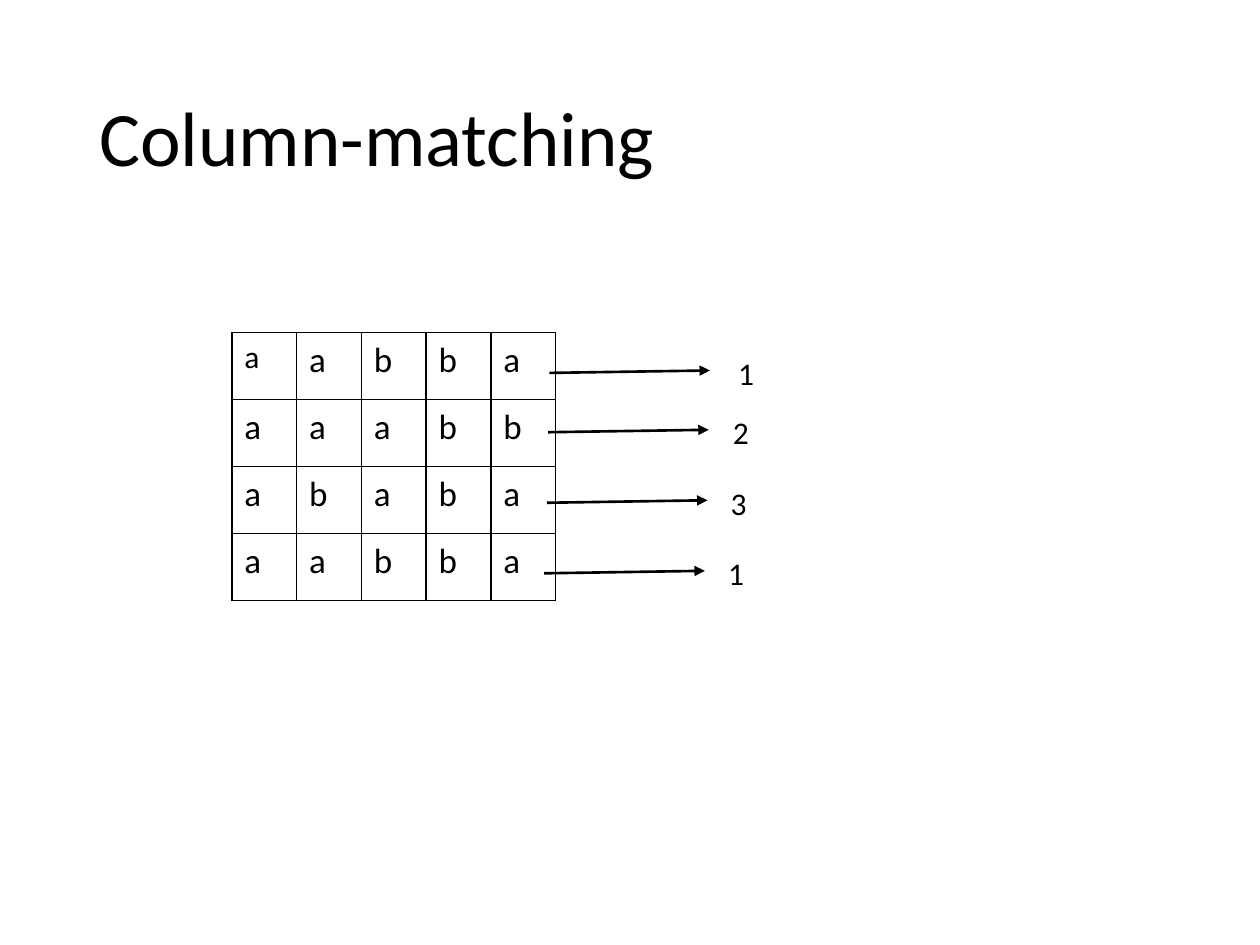
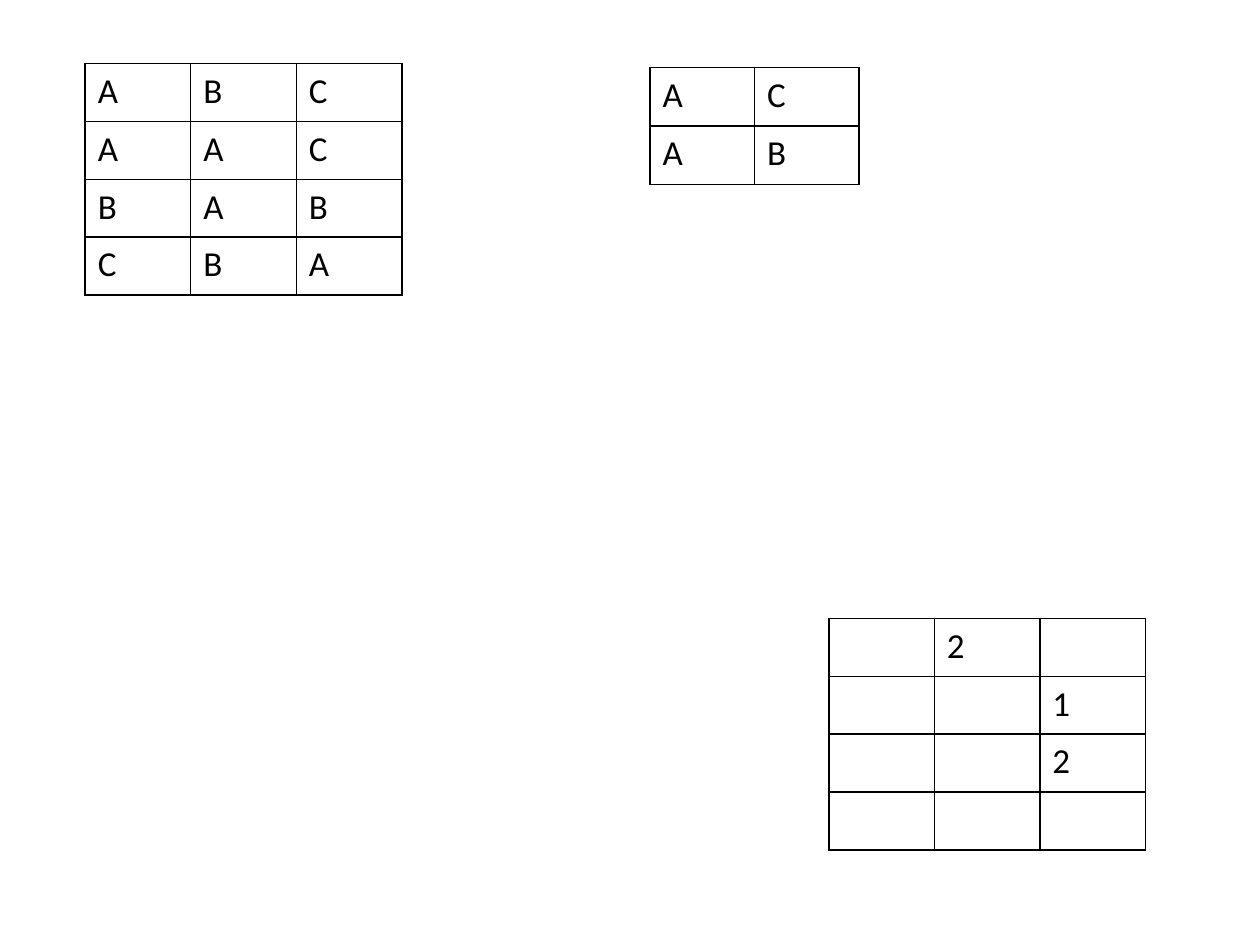
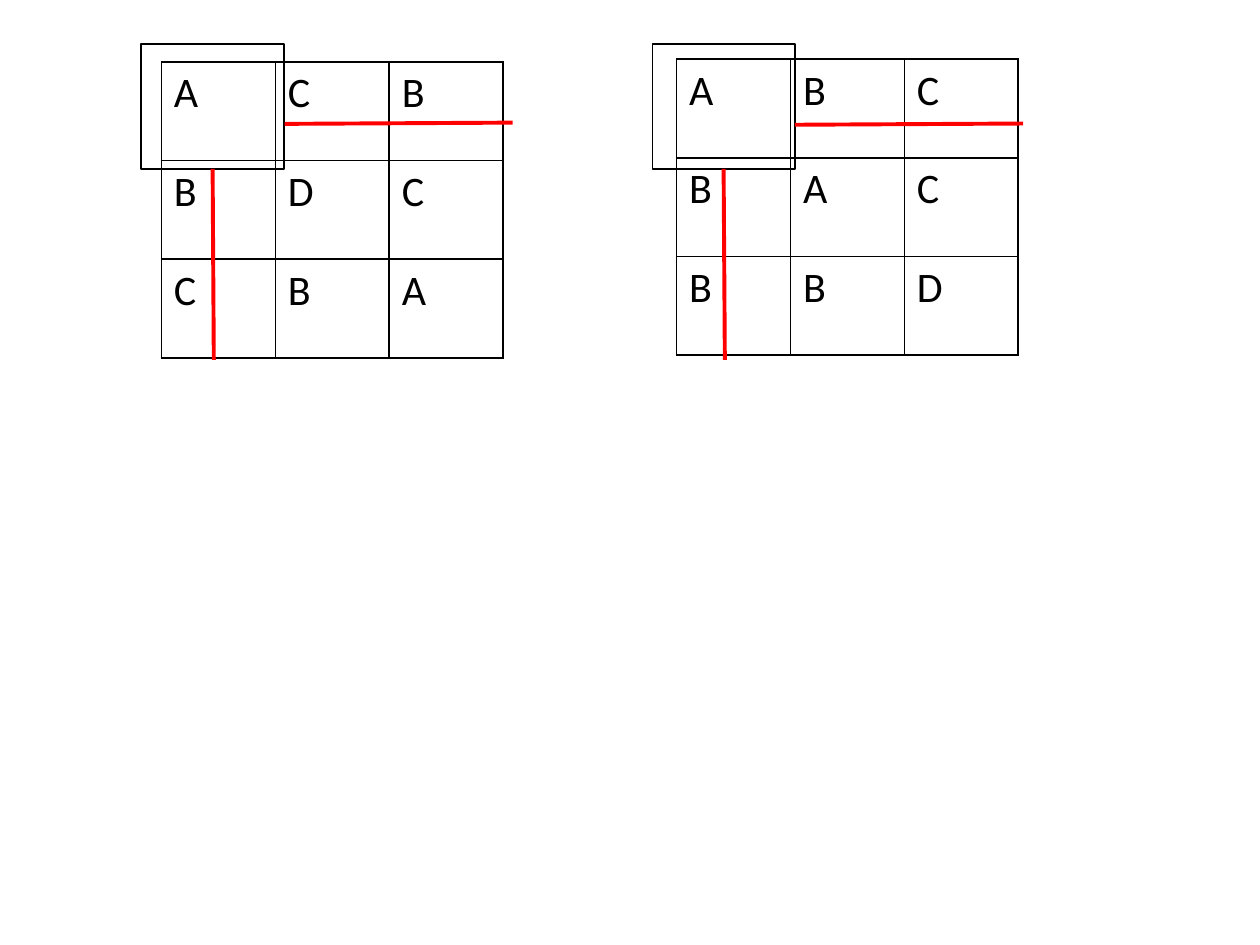
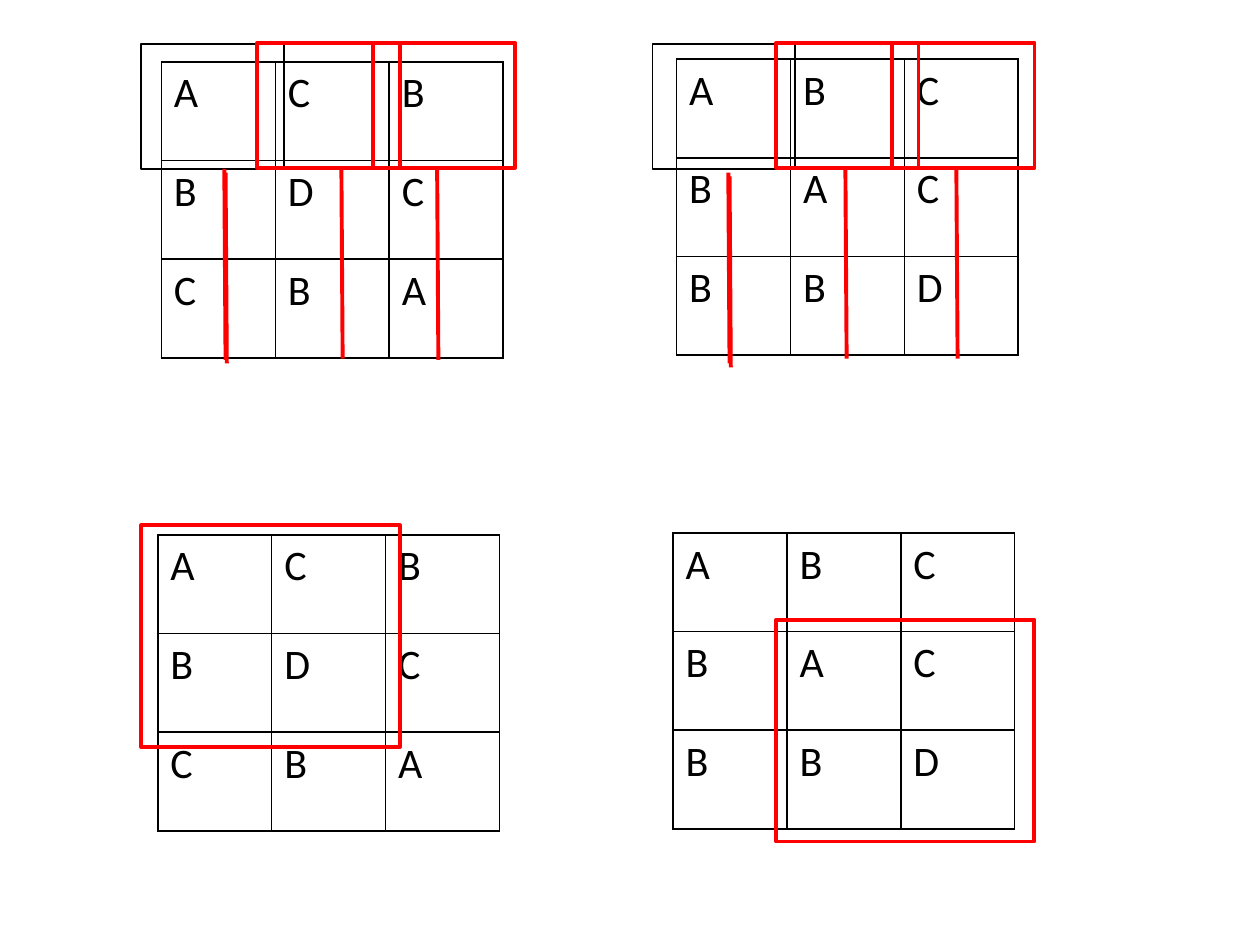
"""Build four slides on matching letter grids by columns, corners and blocks."""
from lxml import etree
from pptx import Presentation
from pptx.dml.color import RGBColor
from pptx.enum import shapes, text
from pptx.oxml import ns
from pptx.util import Pt

BLACK = RGBColor(0x00, 0x00, 0x00)
RED = RGBColor(0xFF, 0x00, 0x00)
FONT = "Calibri"
THIN, ARROW, THICK = 1, 1.5, 2.25
TITLE_ONLY, BLANK = 5, 6
BOTTOM = 2

TITLE_BOX = (49.5, 28.8, 621, 104.4)
CORNER = (81.4, 71.3)
BLOCK = (147.6, 126.7)
DOWN = (0.7, 109.1)
ACROSS = (130.3, -0.7)
ARROW_RUN = (91.8, -1.4)
LABEL_BOX = (23.8, 28.8)

ROW_NAMES = {"rows": ["aabba", "aaabb", "ababa", "aabba"],
             "cell": (37, 38.3), "size": 20, "first_size": 18}
TEXT_GRID = {"rows": ["ABC", "AAC", "BAB", "CBA"], "cell": (60.3, 33.1), "size": 20}
PATTERN = {"rows": ["AC", "AB"], "cell": (59.7, 33.4), "size": 20}
MATCHES = {"rows": [["", "2", ""], ["", "", "1"], ["", "", "2"], ["", "", ""]],
           "cell": (60.3, 33.1), "size": 20}
LEFT_GRID = {"rows": ["ACB", "BDC", "CBA"], "cell": (65.1, 56.4), "size": 24}
RIGHT_GRID = {"rows": ["ABC", "BAC", "BBD"], "cell": (65.1, 56.4), "size": 24}

ROW_LABELS = [("1", (313.9, 213.1), 414.7), ("2", (313.2, 247), 411.8),
              ("3", (312.5, 287.3), 410.4), ("1", (311, 327.6), 409)]
CORNER_PAIR = [
    ("grid", (92.2, 35.3), LEFT_GRID),
    ("grid", (386.6, 33.8), RIGHT_GRID),
    ("frame", (80.8, 25.2), CORNER, BLACK, THIN),
    ("frame", (372.8, 25.2), CORNER, BLACK, THIN),
]
TOP_FRAMES = [147, 509.8, 213.1, 443.5]
COLUMN_STROKES = [(128.2, 96.5), (195.1, 95.8), (416.2, 98.6), (546.5, 95.8),
                  (128.9, 98.6), (249.8, 96.5), (416.9, 100.8), (483.1, 95.8)]

SLIDES = [
    ("Column-matching",
     [("grid", (132.5, 190), ROW_NAMES)] + [("label", *label) for label in ROW_LABELS]),
    (None, [("grid", (48.7, 36.3), TEXT_GRID),
            ("grid", (371.5, 38.7), PATTERN),
            ("grid", (473.6, 353.4), MATCHES)]),
    (None, CORNER_PAIR + [("drop", 0), ("drop", 1),
                          ("stroke", (454.3, 71.3), ACROSS),
                          ("stroke", (162.7, 70.8), ACROSS)]),
    (None, CORNER_PAIR
     + [("frame", (left, 24.5), CORNER, RED, THICK) for left in TOP_FRAMES]
     + [("grid", (90.2, 305.6), LEFT_GRID),
        ("grid", (384.6, 304.5), RIGHT_GRID),
        ("frame", (443.5, 354.2), BLOCK, RED, THICK),
        ("frame", (80.8, 300.2), BLOCK, RED, THICK)]
     + [("stroke", start, DOWN) for start in COLUMN_STROKES]),
]


def points(*values):
    return [Pt(value) for value in values]


def write(frame, words, size):
    paragraph = frame.paragraphs[0]
    paragraph.text = words
    for name, value in {"name": FONT, "size": Pt(size)}.items():
        setattr(paragraph.font, name, value)
    paragraph.font.color.rgb = BLACK
    return paragraph


def border(cell):
    properties = cell._tc.get_or_add_tcPr()
    for index, side in enumerate(("lnL", "lnR", "lnT", "lnB")):
        line = etree.Element(ns.qn(f"a:{side}"), w=str(Pt(THIN)))
        fill = etree.SubElement(line, ns.qn("a:solidFill"))
        etree.SubElement(fill, ns.qn("a:srgbClr"), val=str(BLACK))
        properties.insert(index, line)


def draw_grid(slide, origin, grid):
    rows, (width, height) = grid["rows"], grid["cell"]
    count = len(rows[0])
    table = slide.shapes.add_table(
        len(rows), count, *points(*origin, width * count, height * len(rows))).table
    table.first_row = table.horz_banding = False
    for column in table.columns:
        column.width = Pt(width)
    for row_index, letters in enumerate(rows):
        table.rows[row_index].height = Pt(height)
        for column_index, letter in enumerate(letters):
            cell = table.cell(row_index, column_index)
            is_first = row_index == column_index == 0
            size = grid.get("first_size", grid["size"]) if is_first else grid["size"]
            write(cell.text_frame, letter, size)
            cell.fill.background()
            border(cell)


def draw_frame(slide, origin, size, color, weight):
    shape = slide.shapes.add_shape(shapes.MSO_SHAPE.RECTANGLE, *points(*origin, *size))
    shape.shadow.inherit = False
    shape.fill.background()
    shape.line.color.rgb = color
    shape.line.width = Pt(weight)
    return shape


def draw_stroke(slide, start, run, color=RED, weight=THICK):
    end = [begin + step for begin, step in zip(start, run)]
    connector = slide.shapes.add_connector(
        shapes.MSO_CONNECTOR.STRAIGHT, *points(*start, *end))
    connector.line.color.rgb = color
    connector.line.width = Pt(weight)
    etree.SubElement(connector._element.spPr, ns.qn("a:effectLst"))
    return connector


def draw_drop(slide, frame):
    start = ((frame.left + frame.width / 2) / Pt(1), (frame.top + frame.height) / Pt(1))
    draw_stroke(slide, start, DOWN).begin_connect(frame, BOTTOM)


def draw_label(slide, words, start, left):
    arrow = draw_stroke(slide, start, ARROW_RUN, BLACK, ARROW)
    etree.SubElement(arrow.line._get_or_add_ln(), ns.qn("a:tailEnd"), type="triangle")
    box = slide.shapes.add_textbox(*points(left, start[1] - LABEL_BOX[1] / 2, *LABEL_BOX))
    box.text_frame.word_wrap = False
    box.text_frame.auto_size = text.MSO_AUTO_SIZE.SHAPE_TO_FIT_TEXT
    write(box.text_frame, words, 18)


def draw_title(slide, words):
    title = slide.shapes.title
    for name, value in zip(("left", "top", "width", "height"), points(*TITLE_BOX)):
        setattr(title, name, value)
    title.text_frame.vertical_anchor = text.MSO_ANCHOR.MIDDLE
    paragraph = write(title.text_frame, words, 44)
    paragraph.alignment = text.PP_ALIGN.LEFT
    paragraph.line_spacing = 0.9


def main():
    presentation = Presentation()
    presentation.slide_width, presentation.slide_height = points(720, 540)
    draw = {"grid": draw_grid, "label": draw_label, "stroke": draw_stroke}
    for title, parts in SLIDES:
        layout = presentation.slide_layouts[TITLE_ONLY if title else BLANK]
        slide = presentation.slides.add_slide(layout)
        if title:
            draw_title(slide, title)
        frames = []
        for kind, *values in parts:
            if kind == "frame":
                frames.append(draw_frame(slide, *values))
            elif kind == "drop":
                draw_drop(slide, frames[values[0]])
            else:
                draw[kind](slide, *values)
    presentation.save("out.pptx")


if __name__ == "__main__":
    main()
